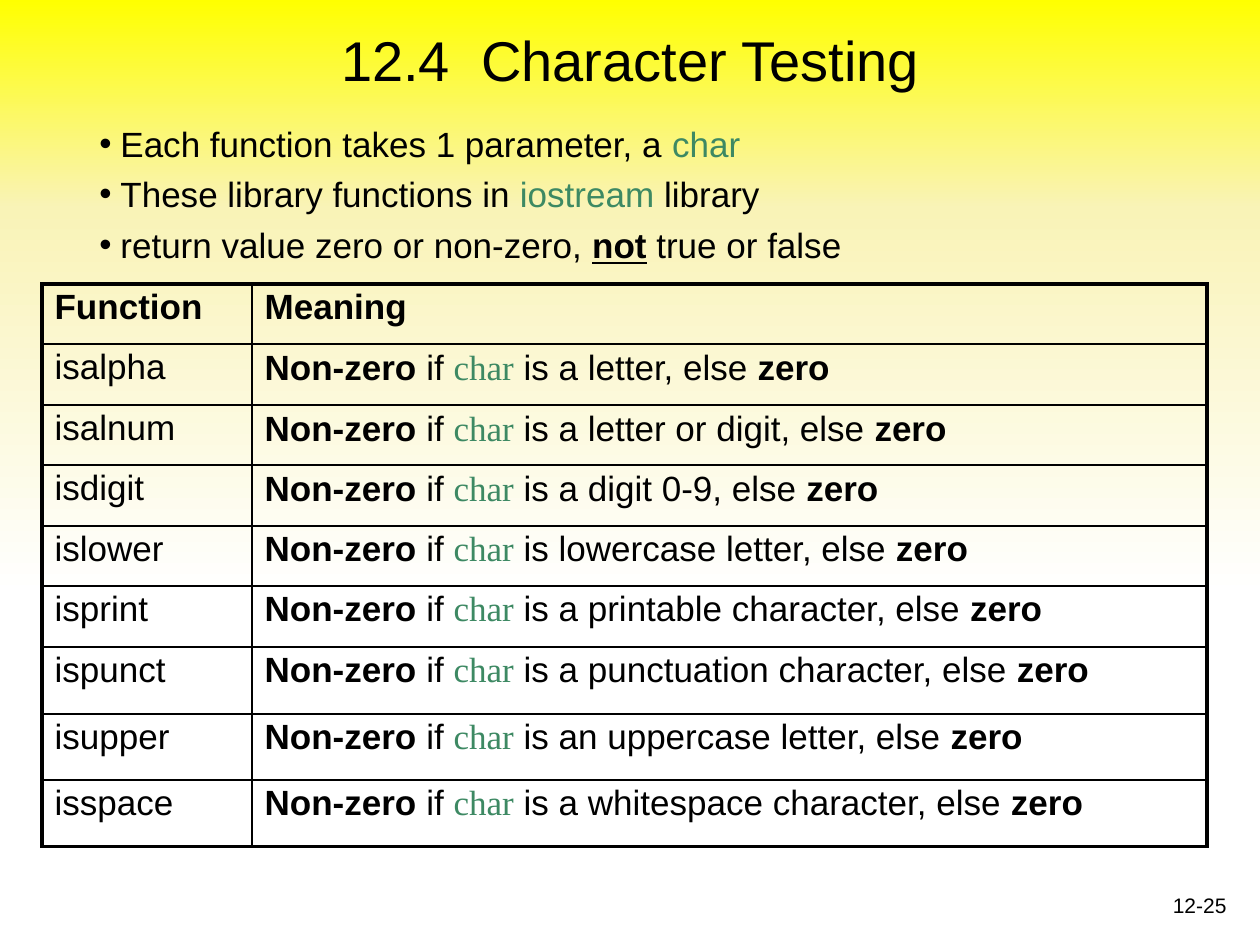
from lxml import etree
from pptx import Presentation
from pptx.dml.color import RGBColor
from pptx.enum.text import MSO_ANCHOR, MSO_AUTO_SIZE, PP_ALIGN
from pptx.oxml.ns import qn
from pptx.util import Emu, Pt

TOP, BOTTOM = MSO_ANCHOR.TOP, MSO_ANCHOR.BOTTOM
LEFT, CENTER, RIGHT = PP_ALIGN.LEFT, PP_ALIGN.CENTER, PP_ALIGN.RIGHT
NO_FIT = MSO_AUTO_SIZE.NONE
TITLE_ONLY = 5
EMU_PER_PX = 914400 / 126

COLORS = {"text": "000000", "code": "3D8963", "yellow": "FFFF00",
          "cream": "F9F3B7", "white": "FFFFFF"}
BACKGROUND = [(0, "yellow"), (22, "cream"), (63, "white"), (100, "white")]
STYLES = {
    "plain": {},
    "bold": {"bold": True},
    "strong": {"bold": True, "underline": True},
    "code": {"color": "code"},
    "serif": {"color": "code", "name": "Times New Roman"},
}
BULLETS = [
    [("Each function takes 1 parameter, a ", "plain"), ("char", "code")],
    [("These library functions in ", "plain"), ("iostream ", "code"),
     ("library", "plain")],
    [("return value zero or non-zero, ", "plain"), ("not", "strong"),
     (" true or false", "plain")],
]
FUNCTIONS = [
    ("isalpha", "a letter"),
    ("isalnum", "a letter or digit"),
    ("isdigit", "a digit 0-9"),
    ("islower", "lowercase letter"),
    ("isprint", "a printable character"),
    ("ispunct", "a punctuation character"),
    ("isupper", "an uppercase letter"),
    ("isspace", "a whitespace character"),
]
COLUMN_WIDTHS = [210, 955]
ROW_HEIGHTS = [60, 61] * 3 + [67, 66, 67]


def px(n):
    return Emu(round(n * EMU_PER_PX))


def add_color(parent, color):
    etree.SubElement(parent, qn("a:srgbClr"), val=COLORS[color])


class SlideBuilder:
    font = "Arial"
    thick, thin = Pt(2.25), Pt(1)

    def __init__(self, prs):
        self.slide = prs.slides.add_slide(prs.slide_layouts[TITLE_ONLY])

    def background(self, stops):
        fill = self.slide.background.fill
        fill.gradient()
        fill.gradient_angle = 270
        gs_lst = self.slide.element.find(".//" + qn("a:gsLst"))
        for gs in list(gs_lst):
            gs_lst.remove(gs)
        for pos, color in stops:
            add_color(etree.SubElement(gs_lst, qn("a:gs"), pos=str(pos * 1000)), color)

    def add_runs(self, p, runs, size, **paragraph_format):
        for key, value in paragraph_format.items():
            setattr(p, key, value)
        for text, style in runs:
            r = p.add_run()
            r.text = text
            values = {"name": self.font, "size": Pt(size), "bold": False,
                      "color": "text"} | STYLES[style]
            r.font.color.rgb = RGBColor.from_string(COLORS[values.pop("color")])
            for key, value in values.items():
                setattr(r.font, key, value)

    def frame(self, sp, box, anchor):
        for key, value in zip(("left", "top", "width", "height"), box):
            setattr(sp, key, px(value))
        tf = sp.text_frame
        for key, value in {"word_wrap": True, "auto_size": NO_FIT,
                           "vertical_anchor": anchor}.items():
            setattr(tf, key, value)
        return tf

    def title(self, text, box, size):
        tf = self.frame(self.slide.shapes.title, box, BOTTOM)
        self.add_runs(tf.paragraphs[0], [(text, "plain")], size, alignment=CENTER)

    def text(self, paragraphs, box, size, anchor=TOP, **paragraph_format):
        tf = self.frame(self.slide.shapes.add_textbox(0, 0, 0, 0), box, anchor)
        for i, runs in enumerate(paragraphs):
            p = tf.add_paragraph() if i else tf.paragraphs[0]
            self.add_runs(p, runs, size, **paragraph_format)
        return tf

    def bullets(self, paragraphs, box, size, indent):
        tf = self.text(paragraphs, box, size, alignment=LEFT, space_before=Pt(5))
        tf.margin_right = 0
        for p in tf.paragraphs:
            pPr = p._p.get_or_add_pPr()
            pPr.set("marL", str(px(indent)))
            pPr.set("indent", str(-px(indent)))
            etree.SubElement(pPr, qn("a:buFont"), typeface=self.font)
            etree.SubElement(pPr, qn("a:buChar"), char="•")

    def border(self, cell, side, width):
        tcPr = cell._tc.get_or_add_tcPr()
        ln = etree.SubElement(tcPr, qn("a:ln" + side), w=str(width))
        add_color(etree.SubElement(ln, qn("a:solidFill")), "text")

    def table(self, rows, left, top, widths, heights, size):
        table = self.slide.shapes.add_table(
            len(rows), len(widths), px(left), px(top),
            px(sum(widths)), px(sum(heights))).table
        table.first_row = table.horz_banding = False
        for column, width in zip(table.columns, widths):
            column.width = px(width)
        for row, height in zip(table.rows, heights):
            row.height = px(height)
        for i, row in enumerate(rows):
            for j, runs in enumerate(row):
                cell = table.cell(i, j)
                edges = {"L": j == 0, "R": j == len(widths) - 1,
                         "T": i == 0, "B": i == len(rows) - 1}
                for side, outer in edges.items():
                    self.border(cell, side, self.thick if outer else self.thin)
                cell.fill.background()
                self.add_runs(cell.text_frame.paragraphs[0], runs, size,
                              line_spacing=0.95, space_before=Pt(4))


def meaning(kind):
    return [("Non-zero ", "bold"), ("if ", "plain"), ("char", "serif"),
            (f" is {kind}, else ", "plain"), ("zero", "bold")]


def main():
    prs = Presentation()
    prs.slide_width, prs.slide_height = px(1260), px(945)
    s = SlideBuilder(prs)
    s.background(BACKGROUND)
    s.title("12.4  Character Testing", (37, 4, 1187, 95), 32)
    s.bullets(BULLETS, (87, 116, 1087, 147), 20, 21)
    rows = [[[("Function", "bold")], [("Meaning", "bold")]]]
    rows += [[[(name, "plain")], meaning(kind)] for name, kind in FUNCTIONS]
    s.table(rows, 42, 284, COLUMN_WIDTHS, ROW_HEIGHTS, 20)
    s.text([[("12-25", "plain")]], (977, 861, 262, 63), 12, BOTTOM, alignment=RIGHT)
    prs.save("out.pptx")


if __name__ == "__main__":
    main()
